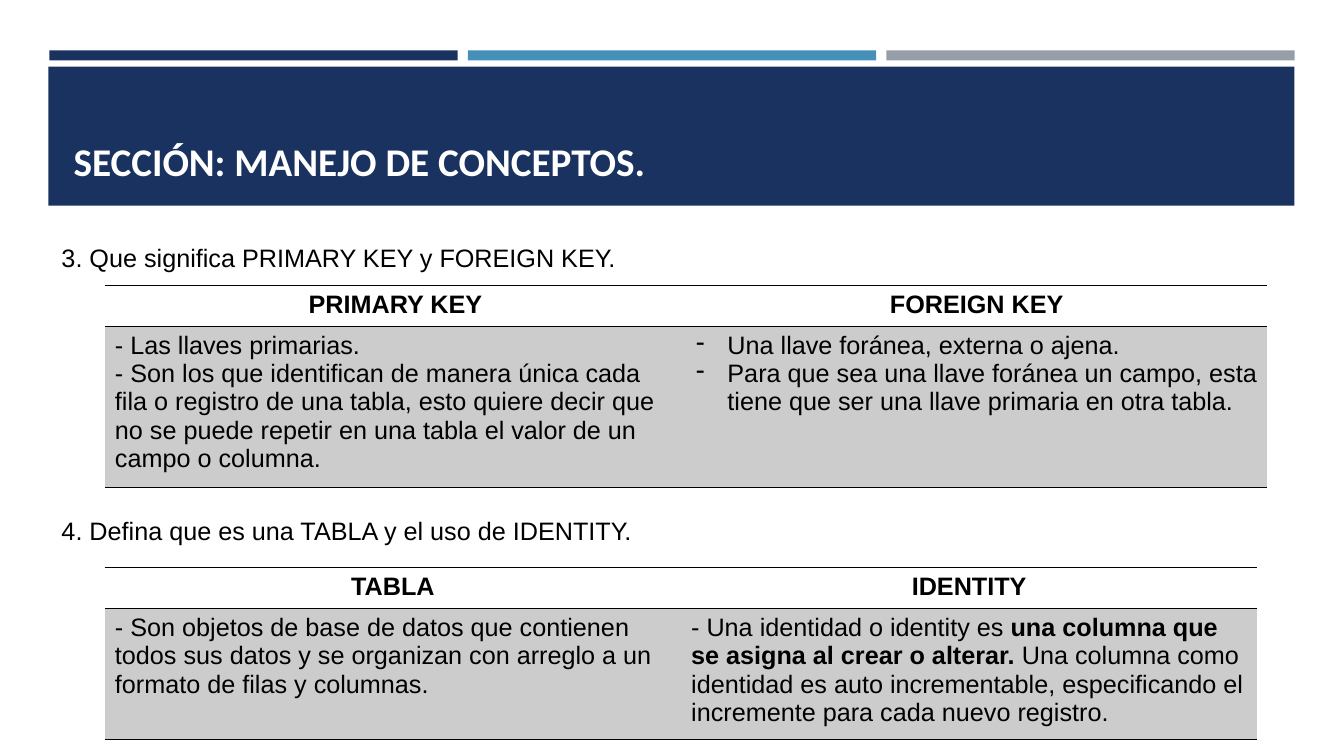
from dataclasses import dataclass

import lxml.etree
import pptx
import pptx.dml.color
import pptx.enum.shapes
import pptx.enum.text
import pptx.oxml.ns
import pptx.slide
import pptx.table
import pptx.text.text
import pptx.util

Inches = pptx.util.Inches
Pt = pptx.util.Pt
qn = pptx.oxml.ns.qn

COLORS = {
    "navy": "1A3260",
    "blue": "4590B8",
    "gray": "969FA7",
    "white": "FFFFFF",
    "black": "000000",
    "cell": "CCCCCC",
}
NO_GRID_STYLE = "{2D5ABB26-0587-4C30-8999-92F81FD0307C}"
HEADER_HEIGHT = 0.41
TABLE_LEFT = 1.04
HANGING_INDENT = 0.31


@dataclass(frozen=True)
class Bar:
    left: float
    top: float
    width: float
    height: float
    color: str


@dataclass(frozen=True)
class Run:
    text: str
    bold: bool = False


@dataclass(frozen=True)
class Concept:
    name: str
    paragraphs: list[list[Run]]
    bulleted: bool = False


@dataclass(frozen=True)
class ConceptTable:
    top: float
    width: float
    body_height: float
    concepts: list[Concept]


BARS = [Bar(0.49 + 4.15 * index, 0.5, 4.05, 0.1, color)
        for index, color in enumerate(["navy", "blue", "gray"])]
BARS.append(Bar(0.48, 0.66, 12.36, 1.38, "navy"))

QUESTIONS = [
    "3. Que significa PRIMARY KEY y FOREIGN KEY.",
    "4. Defina que es una TABLA y el uso de IDENTITY.",
]

TABLES = [
    ConceptTable(2.83, 11.53, 1.6, [
        Concept("PRIMARY KEY", [
            [Run("- Las llaves primarias.")],
            [Run("- Son los que identifican de manera única cada fila o registro de una tabla, "
                 "esto quiere decir que no se puede repetir en una tabla el valor de un campo "
                 "o columna.")],
        ]),
        Concept("FOREIGN KEY", [
            [Run("Una llave foránea, externa o ajena.")],
            [Run("Para que sea una llave foránea un campo, esta tiene que ser una llave "
                 "primaria en otra tabla.")],
        ], bulleted=True),
    ]),
    ConceptTable(5.63, 11.43, 1.3, [
        Concept("TABLA", [
            [Run("- Son objetos de base de datos que contienen todos sus datos y se organizan "
                 "con arreglo a un formato de filas y columnas.")],
        ]),
        Concept("IDENTITY", [
            [Run("- Una identidad o identity es "),
             Run("una columna que se asigna al crear o alterar. ", bold=True),
             Run("Una columna como identidad es auto incrementable, especificando el "
                 "incremente para cada nuevo registro.")],
        ]),
    ]),
]


def rgb(name: str) -> pptx.dml.color.RGBColor:
    return pptx.dml.color.RGBColor.from_string(COLORS[name])


def format_font(paragraph: pptx.text.text._Paragraph, name: str = "Arial",
                size: int = 18, color: str = "black") -> None:
    paragraph.font.name = name
    paragraph.font.size = Pt(size)
    paragraph.font.color.rgb = rgb(color)


def set_bullet(paragraph: pptx.text.text._Paragraph, character: str = "",
               indent: float = 0) -> None:
    properties = paragraph._p.get_or_add_pPr()
    properties.set("marL", str(Inches(indent)))
    properties.set("indent", str(Inches(-indent)))
    if character:
        lxml.etree.SubElement(properties, qn("a:buChar"), char=character)
    else:
        lxml.etree.SubElement(properties, qn("a:buNone"))


def add_bars(slide: pptx.slide.Slide) -> None:
    for position, bar in enumerate(BARS, start=2):
        shape = slide.shapes.add_shape(
            pptx.enum.shapes.MSO_SHAPE.RECTANGLE, Inches(bar.left), Inches(bar.top),
            Inches(bar.width), Inches(bar.height))
        shape.shadow.inherit = False
        shape.fill.solid()
        shape.fill.fore_color.rgb = rgb(bar.color)
        shape.line.fill.background()
        slide.shapes._spTree.insert(position, shape._element)


def fill_placeholders(slide: pptx.slide.Slide) -> None:
    title, body = slide.placeholders
    title.left, title.top, title.width, title.height = map(Inches, (0.63, 0.8, 12.06, 1.08))
    body.left, body.top, body.width, body.height = map(Inches, (0.51, 2.35, 12.06, 3.74))
    for placeholder in (title, body):
        placeholder.text_frame.auto_size = pptx.enum.text.MSO_AUTO_SIZE.NONE

    title.text_frame.text = "SECCIÓN: MANEJO DE CONCEPTOS."
    title.text_frame.vertical_anchor = pptx.enum.text.MSO_ANCHOR.BOTTOM
    heading = title.text_frame.paragraphs[0]
    heading.alignment = pptx.enum.text.PP_ALIGN.LEFT
    format_font(heading, "Calibri", 28, "white")
    heading.font.bold = True

    body.text_frame.text = "\n".join(QUESTIONS)
    for paragraph, space in zip(body.text_frame.paragraphs, (0, 174)):
        set_bullet(paragraph)
        paragraph.space_before = Pt(space)
        format_font(paragraph)


def add_border(cell: pptx.table._Cell, side: str) -> None:
    line = lxml.etree.SubElement(cell._tc.get_or_add_tcPr(), qn(f"a:ln{side}"), w=str(Pt(1)))
    fill = lxml.etree.SubElement(line, qn("a:solidFill"))
    lxml.etree.SubElement(fill, qn("a:srgbClr"), val=COLORS["black"])


def fill_header(cell: pptx.table._Cell, name: str) -> None:
    add_border(cell, "T")
    add_border(cell, "B")
    cell.fill.background()
    cell.text_frame.text = name
    paragraph = cell.text_frame.paragraphs[0]
    paragraph.alignment = pptx.enum.text.PP_ALIGN.CENTER
    format_font(paragraph)
    paragraph.font.bold = True


def fill_body(cell: pptx.table._Cell, concept: Concept) -> None:
    add_border(cell, "T")
    add_border(cell, "B")
    cell.fill.solid()
    cell.fill.fore_color.rgb = rgb("cell")
    frame = cell.text_frame
    for index, runs in enumerate(concept.paragraphs):
        paragraph = frame.add_paragraph() if index else frame.paragraphs[0]
        if concept.bulleted:
            set_bullet(paragraph, "-", HANGING_INDENT)
        format_font(paragraph)
        for item in runs:
            run = paragraph.add_run()
            run.text = item.text
            run.font.bold = item.bold


def add_concept_table(slide: pptx.slide.Slide, content: ConceptTable) -> None:
    frame = slide.shapes.add_table(
        2, len(content.concepts), Inches(TABLE_LEFT), Inches(content.top),
        Inches(content.width), Inches(HEADER_HEIGHT + content.body_height))
    table = frame.table
    table._tbl.tblPr.find(qn("a:tableStyleId")).text = NO_GRID_STYLE
    table.rows[0].height = Inches(HEADER_HEIGHT)
    table.rows[1].height = Inches(content.body_height)
    for column, concept in enumerate(content.concepts):
        fill_header(table.cell(0, column), concept.name)
        fill_body(table.cell(1, column), concept)


def main() -> None:
    presentation = pptx.Presentation()
    presentation.slide_width = Inches(13.33)
    presentation.slide_height = Inches(7.5)
    slide = presentation.slides.add_slide(presentation.slide_layouts[1])
    add_bars(slide)
    fill_placeholders(slide)
    for content in TABLES:
        add_concept_table(slide, content)
    presentation.save("out.pptx")


if __name__ == "__main__":
    main()
